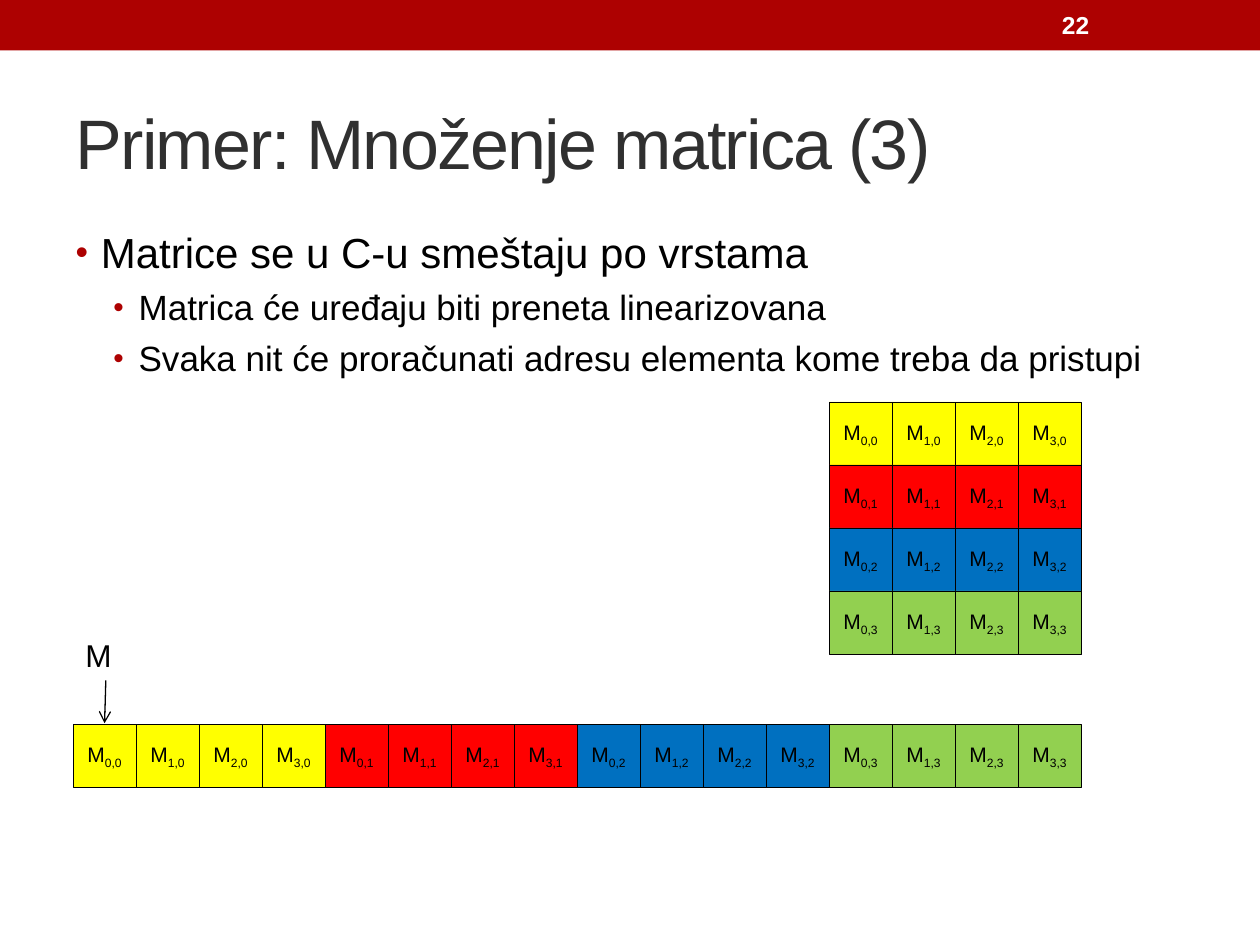
from lxml.etree import SubElement
from pptx import Presentation
from pptx.dml.color import RGBColor
from pptx.enum.shapes import MSO_CONNECTOR, MSO_SHAPE
from pptx.enum.text import MSO_ANCHOR, PP_ALIGN
from pptx.oxml.ns import qn
from pptx.util import Inches, Pt

WIDE, HIGH = 10, 7.5
FONT, RED, BLACK = "Arial", "AD0101", "000000"
TITLE = "Primer: Množenje matrica (3)"
POINTS = [
    (0, "Matrice se u C-u smeštaju po vrstama"),
    (1, "Matrica će uređaju biti preneta linearizovana"),
    (1, "Svaka nit će proračunati adresu elementa kome treba da pristupi"),
]
SIZES, INDENTS = (24, 20), (0.2, 0.5)
ROWS = ["FFFF00", "FF0000", "0070C0", "92D050"]
SIDE = 0.5
LEFT, STRIP = 0.58, 5.75
GRID = (LEFT + 12 * SIDE, 3.19)


def color(code):
    return RGBColor.from_string(code)


def style(font, size, code=BLACK, bold=False):
    font.name, font.size, font.bold = FONT, Pt(size), bold
    font.color.rgb = color(code)


def place(shape, *box):
    shape.left, shape.top, shape.width, shape.height = map(Inches, box)


def bullet(para, level):
    props = para._p.get_or_add_pPr()
    props.set("marL", str(Inches(INDENTS[level])))
    props.set("indent", str(Inches(-0.2)))
    tint = SubElement(props, qn("a:buClr"))
    SubElement(tint, qn("a:srgbClr"), val=RED)
    SubElement(props, qn("a:buSzPct"), val="85000")
    SubElement(props, qn("a:buFont"), typeface=FONT)
    SubElement(props, qn("a:buChar"), char="•")


def label(slide, text, box, size, code=BLACK, bold=False):
    shape = slide.shapes.add_textbox(*map(Inches, box))
    frame = shape.text_frame
    frame.word_wrap = True
    frame.vertical_anchor = MSO_ANCHOR.MIDDLE
    frame.text = text
    style(frame.paragraphs[0].font, size, code, bold)


def cell(group, col, row, x, y):
    box = group.shapes.add_shape(MSO_SHAPE.RECTANGLE, *map(Inches, (x, y, SIDE, SIDE)))
    box.shadow.inherit = False
    box.fill.solid()
    box.fill.fore_color.rgb = color(ROWS[row])
    box.line.color.rgb = color(BLACK)
    box.line.width = Pt(0.25)
    frame = box.text_frame
    frame.word_wrap = False
    frame.vertical_anchor = MSO_ANCHOR.MIDDLE
    para = frame.paragraphs[0]
    para.alignment = PP_ALIGN.CENTER
    style(para.font, 12)
    para.add_run().text = "M"
    index = para.add_run()
    index.text = f"{col},{row}"
    index._r.get_or_add_rPr().set("baseline", "-25000")


def matrix(slide, spot):
    group = slide.shapes.add_group_shape()
    for row in range(len(ROWS)):
        for col in range(4):
            cell(group, col, row, *spot(col, row))


def arrow(slide, *ends):
    line = slide.shapes.add_connector(MSO_CONNECTOR.STRAIGHT, *map(Inches, ends))
    line.line.color.rgb = color(BLACK)
    line.line.width = Pt(0.75)
    SubElement(line.line._get_or_add_ln(), qn("a:tailEnd"), type="arrow")
    SubElement(line._element.spPr, qn("a:effectLst"))


def main():
    """Build the slide on row-by-row storage of a matrix."""
    deck = Presentation()
    deck.slide_width, deck.slide_height = Inches(WIDE), Inches(HIGH)
    slide = deck.slides.add_slide(deck.slide_layouts[1])
    title, body = slide.placeholders

    band = slide.shapes.add_shape(MSO_SHAPE.RECTANGLE, 0, 0, Inches(WIDE), Inches(0.4))
    band.shadow.inherit = False
    band.fill.solid()
    band.fill.fore_color.rgb = color(RED)
    band.line.fill.background()

    place(title, 0.5, 0.58, 9, 1.08)
    title.text_frame.text = TITLE
    title.text_frame.vertical_anchor = MSO_ANCHOR.MIDDLE
    head = title.text_frame.paragraphs[0]
    head.alignment = PP_ALIGN.LEFT
    style(head.font, 40, "303030")
    head.runs[0]._r.get_or_add_rPr().set("spc", "-100")

    place(body, 0.5, 1.75, 9, 5.33)
    frame = body.text_frame
    frame.text = "\n".join(text for _, text in POINTS)
    for n, (para, (level, _)) in enumerate(zip(frame.paragraphs, POINTS)):
        para.level = level
        para.space_before = Pt(5 if n else 0)
        bullet(para, level)
        style(para.font, SIZES[level])

    matrix(slide, lambda col, row: (LEFT + (4 * row + col) * SIDE, STRIP))
    matrix(slide, lambda col, row: (GRID[0] + col * SIDE, GRID[1] + row * SIDE))
    label(slide, "M", (LEFT, 4.99, SIDE, 0.42), 18)
    arrow(slide, 0.84, 5.4, 0.83, 5.74)
    label(slide, "22", (8.33, 0.02, 1.17, 0.36), 14, "FFFFFF", True)
    deck.save("out.pptx")


if __name__ == "__main__":
    main()
